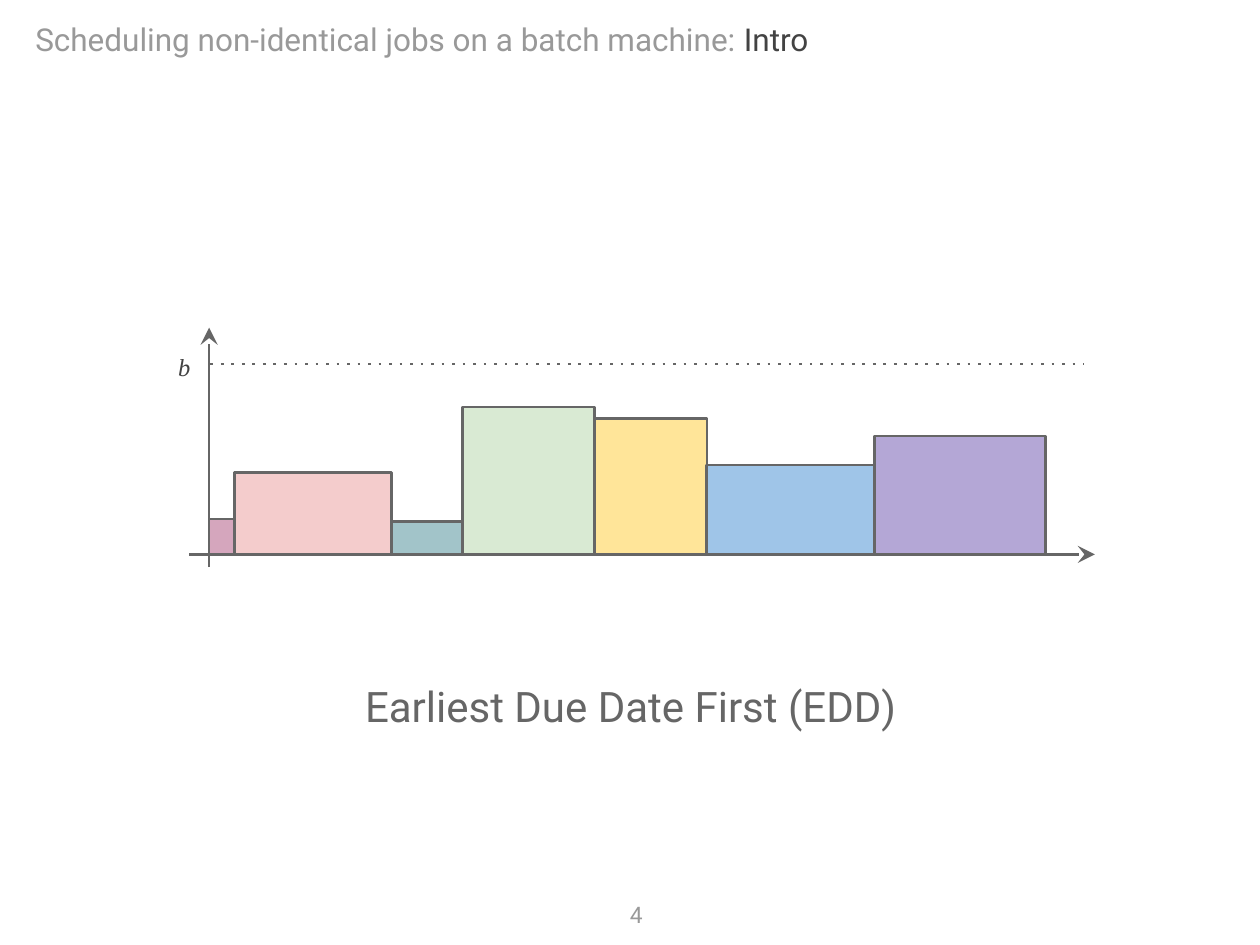
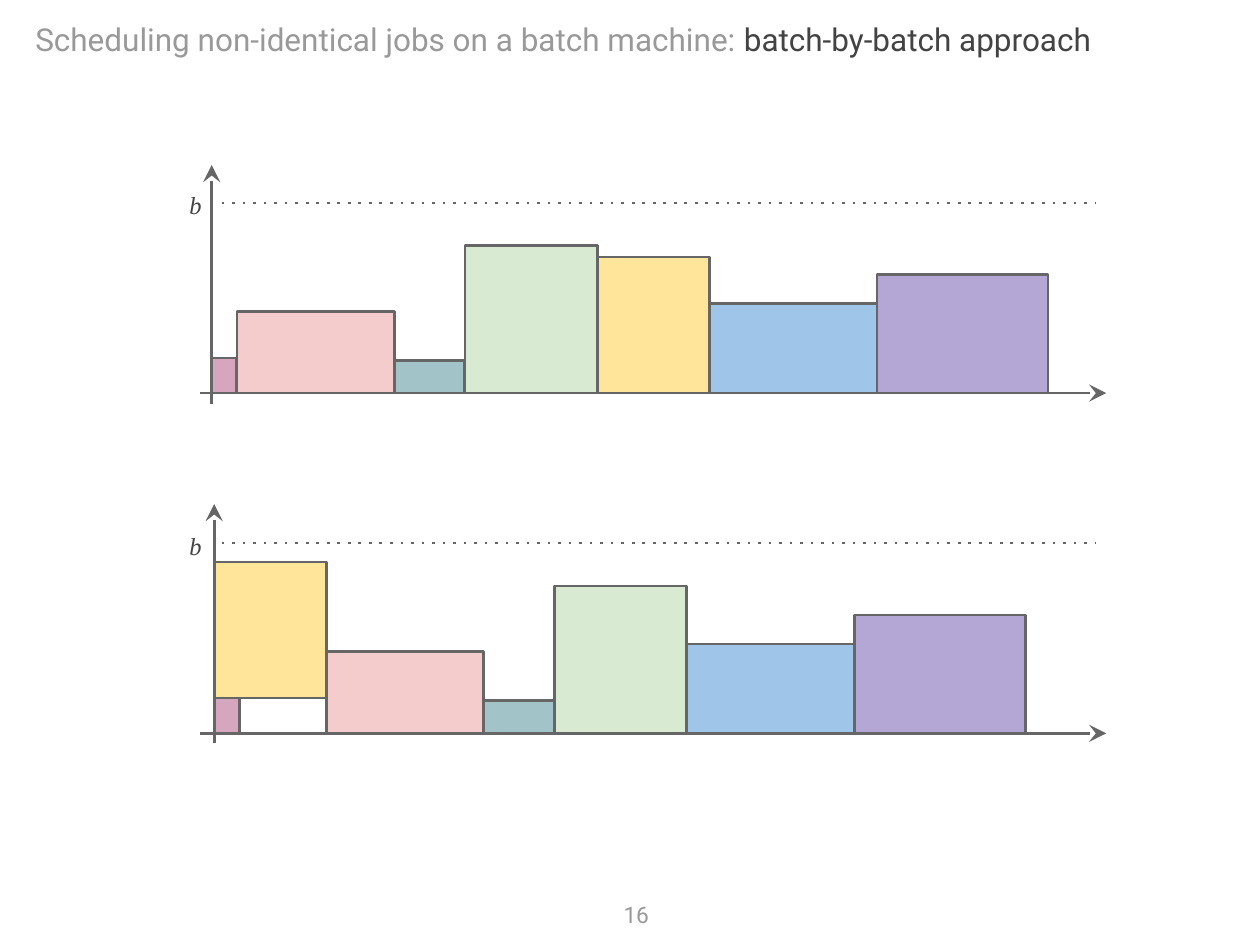
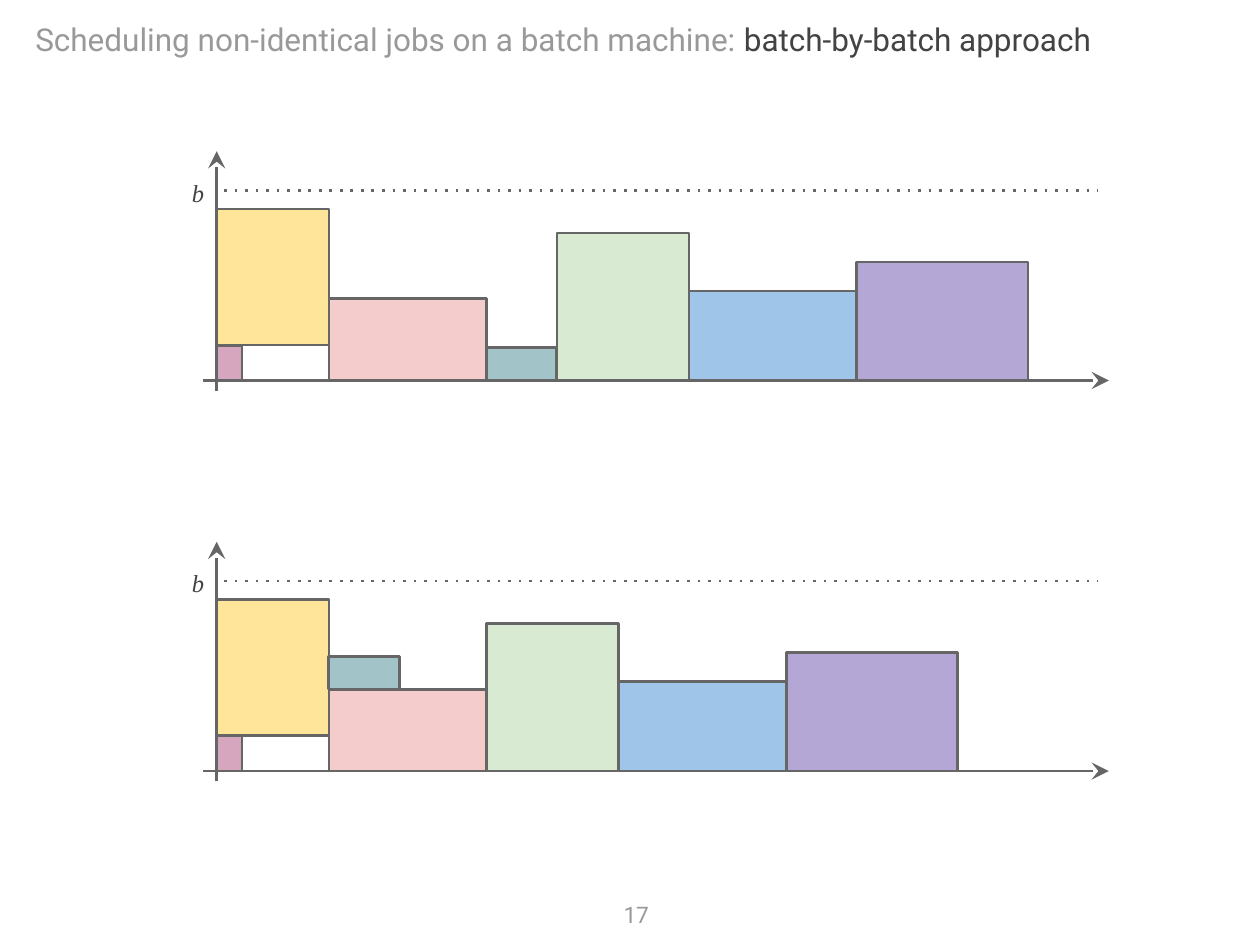
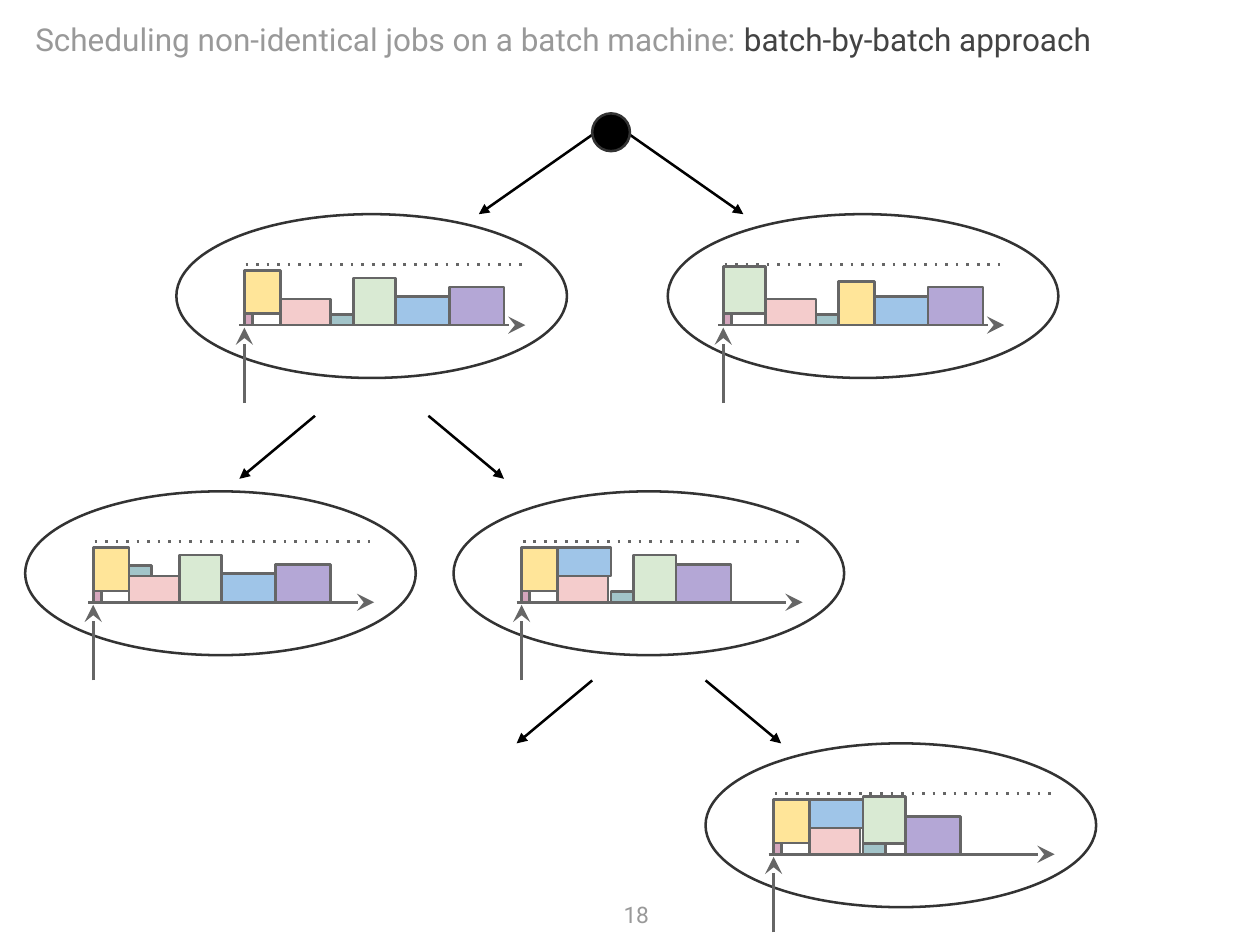
from pptx import Presentation
from pptx.dml.color import RGBColor
from pptx.enum.shapes import MSO_CONNECTOR, MSO_SHAPE
from pptx.enum.text import MSO_ANCHOR, MSO_AUTO_SIZE, PP_ALIGN
from pptx.oxml.ns import qn
from pptx.util import Inches, Pt
from lxml import etree

LEFT, MID, RIGHT = PP_ALIGN.LEFT, PP_ALIGN.CENTER, PP_ALIGN.RIGHT
TOP, CORE, BASE = MSO_ANCHOR.TOP, MSO_ANCHOR.MIDDLE, MSO_ANCHOR.BOTTOM
GROW, FIXED = MSO_AUTO_SIZE.SHAPE_TO_FIT_TEXT, MSO_AUTO_SIZE.NONE
RECT, OVAL = MSO_SHAPE.RECTANGLE, MSO_SHAPE.OVAL
STRAIGHT = MSO_CONNECTOR.STRAIGHT

SANS, SERIF = "Roboto", "Times New Roman"
PALE, GRAY, DARK, EDGE, BLACK = "999999", "666666", "434343", "333333", "000000"
TOPIC = "Scheduling non-identical jobs on a batch machine: "

JOBS = {
    "plum": (0.2, 0.28, "D5A6BD"),
    "pink": (1.25, 0.65, "F4CCCC"),
    "teal": (0.56, 0.26, "A2C4C9"),
    "green": (1.05, 1.17, "D9EAD3"),
    "gold": (0.89, 1.08, "FFE599"),
    "blue": (1.33, 0.71, "9FC5E8"),
    "violet": (1.36, 0.94, "B4A7D6"),
}
SMALL = 0.32

EDD = "plum pink teal green gold blue violet"
FIRST = "plum+gold pink teal green blue violet"
SECOND = "plum+gold pink+teal green blue violet"
OTHER = "plum+green pink teal gold blue violet"
PACKED = "plum+gold pink+blue teal green violet"
FINAL = "plum+gold pink+blue teal+green violet"


def color(code):
    return RGBColor.from_string(code)


def apply(target, form):
    for name, value in form.items():
        setattr(target, name, value)


class Deck:
    def __init__(self):
        self.prs = Presentation()
        self.prs.slide_width, self.prs.slide_height = Inches(10), Inches(7.5)
        self.slide = None

    def page(self, part, number):
        self.slide = self.prs.slides.add_slide(self.prs.slide_layouts[5])
        title = self.slide.shapes.title
        spot = {"left": 0.18, "top": 0.09, "width": 9.14, "height": 0.47}
        apply(title, {name: Inches(size) for name, size in spot.items()})
        self.label(title, [(TOPIC, PALE), (part, DARK)], 18, LEFT, BASE)
        self.text((4.3, 7.1, 1.5, 0.34), number, PALE, 13, pad=0.05, fit=GROW)

    def label(self, shape, runs, size, align=MID, anchor=TOP, pad=0.1,
              fit=FIXED, face=SANS, space=1.0, slant=False):
        frame = shape.text_frame
        apply(frame, {
            "word_wrap": True, "auto_size": fit, "vertical_anchor": anchor,
            "margin_left": Inches(0.1), "margin_right": Inches(0.1),
            "margin_top": Inches(pad), "margin_bottom": Inches(pad),
        })
        para = frame.paragraphs[0]
        apply(para, {"alignment": align, "line_spacing": space})
        for words, code in runs:
            run = para.add_run()
            run.text = words
            apply(run.font, {"name": face, "size": Pt(size), "italic": slant})
            run.font.color.rgb = color(code)

    def text(self, spot, words, code, size, **form):
        box = self.slide.shapes.add_textbox(*map(Inches, spot))
        self.label(box, [(words, code)], size, **form)

    def shape(self, kind, spot, fill=None, edge=GRAY, width=1.5):
        item = self.slide.shapes.add_shape(kind, *map(Inches, spot))
        item.shadow.inherit = False
        if fill:
            item.fill.solid()
            item.fill.fore_color.rgb = color(fill)
        else:
            item.fill.background()
        item.line.color.rgb = color(edge)
        item.line.width = Pt(width)

    def line(self, start, end, code=GRAY, width=1.5, dash=None, head=None, size="lg"):
        item = self.slide.shapes.add_connector(STRAIGHT, *map(Inches, start + end))
        item.line.color.rgb = color(code)
        item.line.width = Pt(width)
        props = item._element.spPr
        stroke = props.find(qn("a:ln"))
        if dash:
            etree.SubElement(stroke, qn("a:prstDash"), val=dash)
        if head:
            etree.SubElement(stroke, qn("a:tailEnd"), type=head, w=size, len=size)
        etree.SubElement(props, qn("a:effectLst"))

    def bars(self, left, base, plan, scale=1.0):
        for batch in plan.split():
            names = batch.split("+")
            floor = base
            for name in names:
                wide, high, fill = JOBS[name]
                floor -= high * scale
                self.shape(RECT, (left, floor, wide * scale, high * scale), fill)
            left += max(JOBS[name][0] for name in names) * scale

    def chart(self, axis, left, base, plan, foot=0.08):
        self.bars(left, base, plan)
        self.line((axis, base), (axis + 7.19, base), head="stealth")
        roof = base - 1.51
        self.line((axis + 0.17, roof), (axis + 7.1, roof), dash="dot")
        self.line((left, base + foot), (left, base + foot - 1.9), head="stealth")
        self.text((axis - 0.59, base - 1.82, 0.7, 0.62), "b", DARK, 14, align=RIGHT,
                  anchor=CORE, face=SERIF, space=1.15, slant=True)

    def node(self, left, top, plan, inset=0.54):
        self.shape(OVAL, (left, top, 3.1, 1.3), edge=EDGE, width=1.45)
        start, base, roof = left + inset, top + 0.88, top + 0.4
        self.bars(start, base, plan, SMALL)
        self.line((start - 0.04, base), (start + 2.23, base), head="stealth")
        self.line((start + 0.01, roof), (start + 2.2, roof), dash="dot")
        self.line((start, top + 1.5), (start, top + 0.9), head="stealth")

    def fork(self, left, right, top, run, drop):
        for start, step in ((left, -run), (right, run)):
            self.line((start, top), (start + step, top + drop), BLACK, 1.45,
                      head="triangle", size="med")


def main():
    deck = Deck()
    deck.page("Intro", "4")
    deck.chart(1.5, 1.66, 4.4, EDD, foot=0.1)
    deck.text((2.68, 5.3, 4.65, 0.82), "Earliest Due Date First (EDD)", GRAY, 24)

    batch = "batch-by-batch approach"
    deck.page(batch, "16")
    deck.chart(1.59, 1.68, 3.12, EDD, foot=0.09)
    deck.chart(1.59, 1.7, 5.82, FIRST)

    deck.page(batch, "17")
    deck.chart(1.61, 1.72, 3.02, FIRST)
    deck.chart(1.61, 1.72, 6.12, SECOND)

    deck.page(batch, "18")
    deck.node(1.4, 1.7, FIRST)
    deck.node(5.3, 1.7, OTHER, inset=0.44)
    deck.node(0.2, 3.9, SECOND)
    deck.node(3.6, 3.9, PACKED)
    deck.node(5.6, 5.9, FINAL)
    deck.fork(4.8, 4.9, 1, 1, 0.7)
    deck.fork(2.5, 3.4, 3.3, 0.6, 0.5)
    deck.fork(4.7, 5.6, 5.4, 0.6, 0.5)
    deck.shape(OVAL, (4.7, 0.9, 0.3, 0.3), BLACK, EDGE, 1.45)

    deck.prs.save("out.pptx")


if __name__ == "__main__":
    main()
